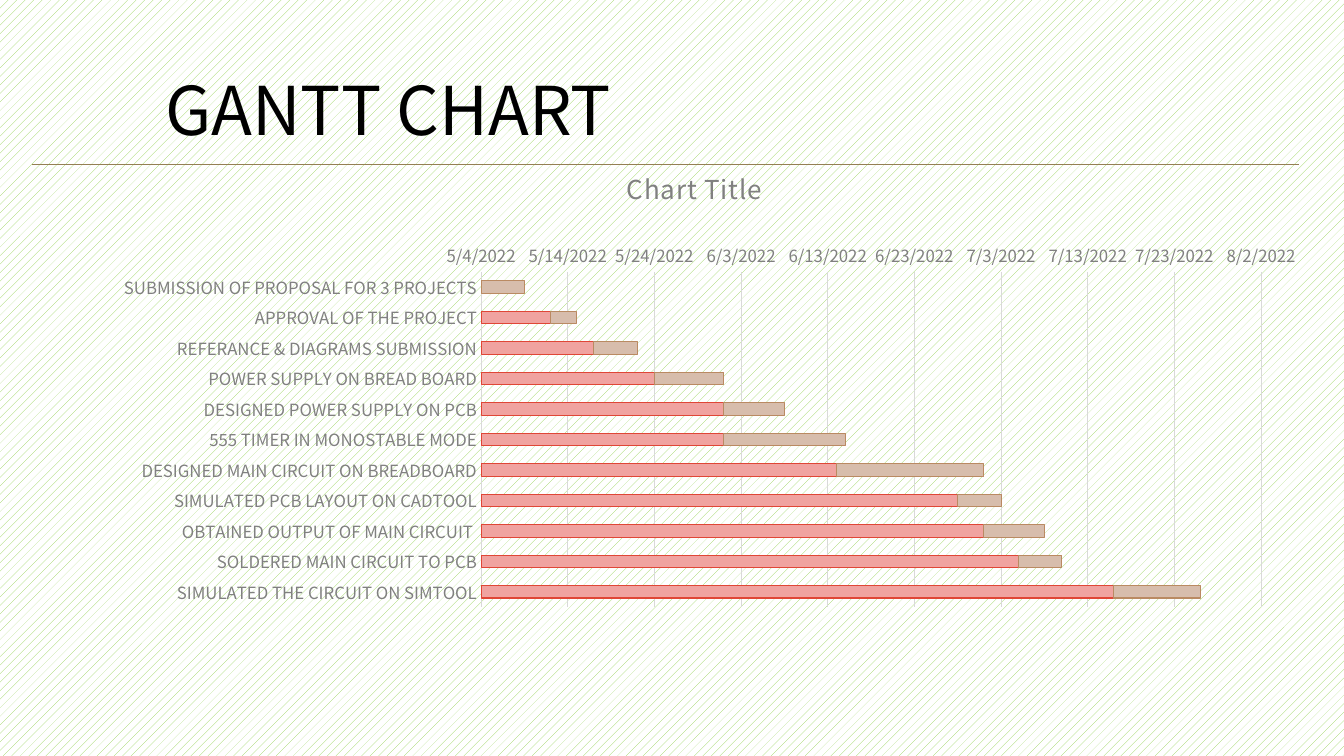
from dataclasses import dataclass

from lxml import etree
from pptx import Presentation
from pptx.chart.data import CategoryChartData
from pptx.dml.color import RGBColor
from pptx.enum.chart import XL_CHART_TYPE, XL_TICK_MARK
from pptx.enum.dml import MSO_PATTERN
from pptx.enum.shapes import MSO_CONNECTOR
from pptx.enum.text import MSO_ANCHOR, MSO_AUTO_SIZE, PP_ALIGN
from pptx.oxml import parse_xml
from pptx.oxml.ns import nsdecls, qn
from pptx.util import Pt

STACKED_BARS = XL_CHART_TYPE.BAR_STACKED
NO_TICK = XL_TICK_MARK.NONE
DOTTED = MSO_PATTERN.PERCENT_20
STRAIGHT = MSO_CONNECTOR.STRAIGHT
TOP = MSO_ANCHOR.TOP
FIT_SHAPE = MSO_AUTO_SIZE.SHAPE_TO_FIT_TEXT
LEFT = PP_ALIGN.LEFT

FONT = "Noto Sans CJK JP"
COLORS = {
    "ink": "000000",
    "label": "808080",
    "grid": "D9D9D9",
    "rule": "947F53",
    "dots": "92D050",
    "paper": "FFFFFF",
}
FIRST_DAY = 44685  # 5/4/2022 as a date serial
LAST_DAY = FIRST_DAY + 90
PLOT_AREA = {"x": 0.329, "y": 0.271, "w": 0.625, "h": 0.729}


@dataclass
class Task:
    name: str
    start: int
    days: int


@dataclass
class BarStyle:
    fill: str
    line: str


TASKS = [
    Task("SUBMISSION OF PROPOSAL FOR 3 PROJECTS", 44685, 5),
    Task("APPROVAL OF THE PROJECT", 44693, 3),
    Task("REFERANCE & DIAGRAMS SUBMISSION", 44698, 5),
    Task("POWER SUPPLY ON BREAD BOARD", 44705, 8),
    Task("DESIGNED POWER SUPPLY ON PCB", 44713, 7),
    Task("555 TIMER IN MONOSTABLE MODE", 44713, 14),
    Task("DESIGNED MAIN CIRCUIT ON BREADBOARD", 44726, 17),
    Task("SIMULATED PCB LAYOUT ON CADTOOL", 44740, 5),
    Task("OBTAINED OUTPUT OF MAIN CIRCUIT ", 44743, 7),
    Task("SOLDERED MAIN CIRCUIT TO PCB", 44747, 5),
    Task("SIMULATED THE CIRCUIT ON SIMTOOL", 44758, 10),
]
BAR_STYLES = [BarStyle("F0A3A0", "E04636"), BarStyle("D7BDAC", "BA8A62")]


def rgb(name: str) -> RGBColor:
    return RGBColor.from_string(COLORS[name])


def set_font(font, size: float, color: str) -> None:
    font.name = FONT
    font.size = Pt(size)
    font.bold = False
    font.color.rgb = rgb(color)


def add_title(page) -> None:
    title = page.shapes.title
    title.left, title.top, title.width, title.height = Pt(111), Pt(52), Pt(480), Pt(65.5)
    frame = title.text_frame
    frame.text = "GANTT CHART"
    frame.vertical_anchor = TOP
    frame.auto_size = FIT_SHAPE
    para = frame.paragraphs[0]
    para.alignment = LEFT
    para.line_spacing = 0.9
    set_font(para.runs[0].font, 48, "ink")


def place_plot(chart) -> None:
    sizes = "".join(f'<c:{key} val="{value}"/>' for key, value in PLOT_AREA.items())
    layout = parse_xml(
        f'<c:layout {nsdecls("c")}><c:manualLayout><c:layoutTarget val="inner"/>'
        f'<c:xMode val="edge"/><c:yMode val="edge"/>{sizes}</c:manualLayout></c:layout>'
    )
    area = chart.element.find(".//" + qn("c:plotArea"))
    for old in area.findall(qn("c:layout")):
        area.remove(old)
    area.insert(0, layout)


def style_axis(axis) -> None:
    axis.major_tick_mark = axis.minor_tick_mark = NO_TICK
    axis.format.line.fill.background()
    set_font(axis.tick_labels.font, 12, "label")


def add_schedule(page) -> None:
    data = CategoryChartData()
    data.categories = [task.name for task in TASKS]
    data.add_series("Series 1", [task.start for task in TASKS])
    data.add_series("Series 2", [task.days for task in TASKS])
    chart = page.shapes.add_chart(
        STACKED_BARS, Pt(50.4), Pt(105.1), Pt(891.4), Pt(329), data
    ).chart
    chart.has_legend = False
    set_font(chart.font, 10, "ink")
    place_plot(chart)

    # Chart heading
    frame = chart.chart_title.text_frame
    frame.text = "Chart Title"
    span = frame.paragraphs[0].runs[0]
    set_font(span.font, 18.6, "label")
    span.font._element.set("spc", "50")
    chart.chart_title.include_in_layout = False

    # Axes: tasks run downwards, dates along the top
    style_axis(chart.category_axis)
    chart.category_axis.reverse_order = True
    dates = chart.value_axis
    style_axis(dates)
    dates.minimum_scale, dates.maximum_scale, dates.major_unit = FIRST_DAY, LAST_DAY, 10
    dates.tick_labels.number_format = "m/d/yyyy"
    dates.tick_labels.number_format_is_linked = False
    dates.has_major_gridlines = True
    grid = dates.major_gridlines.format.line
    grid.color.rgb = rgb("grid")
    grid.width = Pt(0.75)

    # Bars
    plot = chart.plots[0]
    plot.gap_width, plot.overlap = 150, 100
    plot.vary_by_categories = False
    for series, style in zip(plot.series, BAR_STYLES):
        series.format.fill.solid()
        series.format.fill.fore_color.rgb = RGBColor.from_string(style.fill)
        series.format.line.color.rgb = RGBColor.from_string(style.line)
        series.format.line.width = Pt(0.75)


def add_rule(page) -> None:
    rule = page.shapes.add_connector(STRAIGHT, Pt(23), Pt(117.4), Pt(928), Pt(117.4))
    rule.line.color.rgb = rgb("rule")
    rule.line.width = Pt(0.75)
    etree.SubElement(rule._element.spPr, qn("a:effectLst"))


def main() -> None:
    deck = Presentation()
    deck.slide_width, deck.slide_height = Pt(960), Pt(540)
    page = deck.slides.add_slide(deck.slide_layouts.get_by_name("Title Only"))

    # Patterned background
    backdrop = page.background.fill
    backdrop.patterned()
    backdrop.pattern = DOTTED
    backdrop.fore_color.rgb = rgb("dots")
    backdrop.back_color.rgb = rgb("paper")

    add_schedule(page)
    add_title(page)
    add_rule(page)
    deck.save("out.pptx")


if __name__ == "__main__":
    main()
